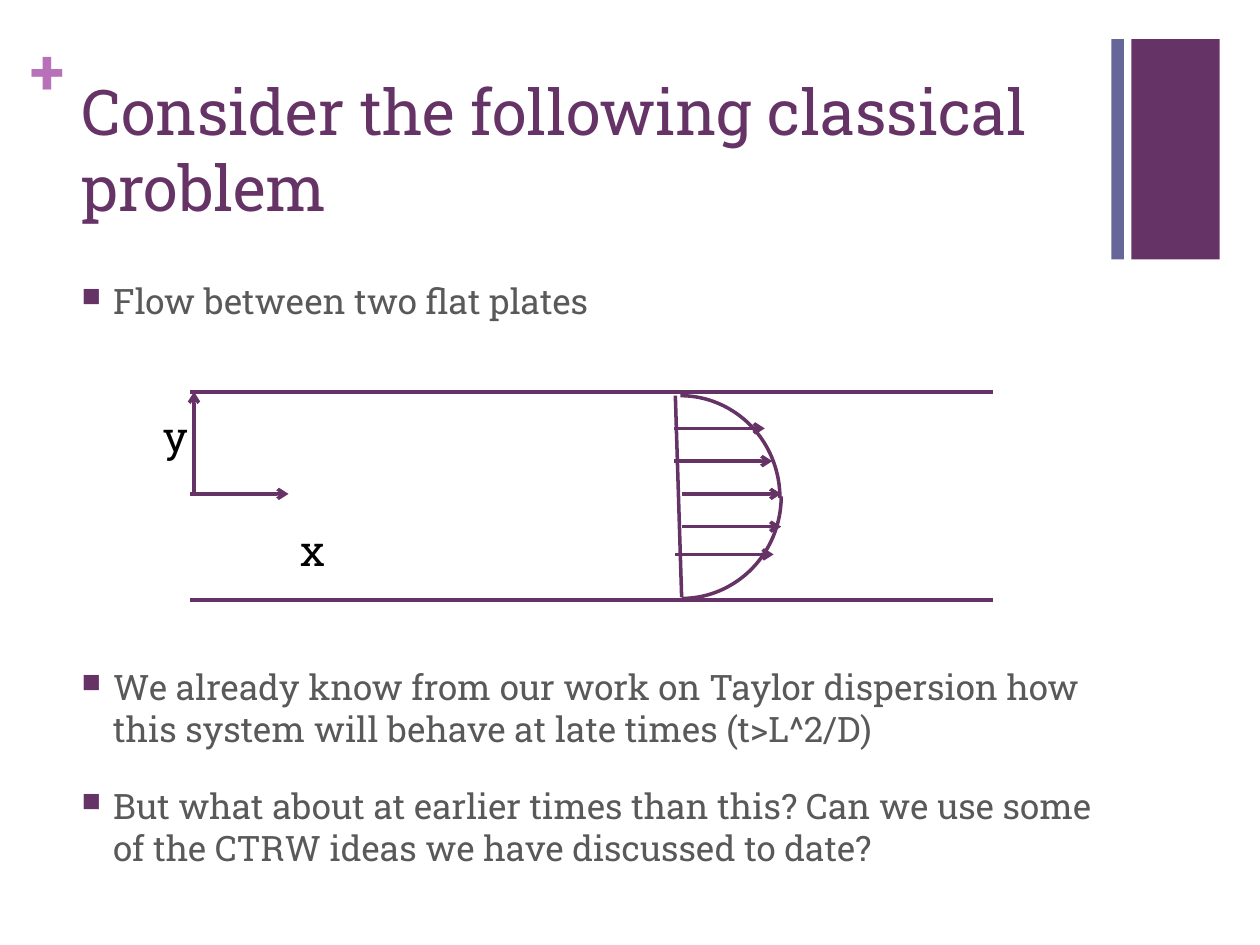
import pptx
import pptx.util
import pptx.dml.color
import pptx.enum.shapes
import pptx.enum.text
import pptx.oxml
import pptx.oxml.ns
from lxml import etree

Inches = pptx.util.Inches
Pt = pptx.util.Pt
RGB = pptx.dml.color.RGBColor
Kind = pptx.enum.shapes.MSO_SHAPE

PLUM = RGB(0x66, 0x33, 0x66)
SLATE = RGB(0x66, 0x66, 0x99)
MAUVE = RGB(0xB8, 0x70, 0xB8)
GREY = RGB(0x59, 0x59, 0x59)
BLACK = RGB(0, 0, 0)
FONT = "Roboto Slab"


def add_node(parent, tag, **attrs):
    return etree.SubElement(parent, pptx.oxml.ns.qn(tag), **attrs)


def add_bar(slide, left, width, color):
    bar = slide.shapes.add_shape(
        Kind.RECTANGLE, Inches(left), Inches(0.31), Inches(width), Inches(1.75))
    bar.shadow.inherit = False
    bar.fill.solid()
    bar.fill.fore_color.rgb = color
    bar.line.fill.background()


def add_bullet(para):
    props = para._p.get_or_add_pPr()
    props.set("marL", str(Inches(0.25)))
    props.set("indent", str(-Inches(0.25)))
    color = add_node(props, "a:buClr")
    add_node(color, "a:srgbClr", val=str(PLUM))
    add_node(props, "a:buSzPct", val="75000")
    add_node(props, "a:buChar", char="■")


def add_text(slide, box, lines, size, color, bold=False, wrap=True,
             bullet=False, inset=True):
    shape = slide.shapes.add_textbox(*map(Inches, box))
    frame = shape.text_frame
    frame.word_wrap = wrap
    frame.vertical_anchor = pptx.enum.text.MSO_ANCHOR.TOP
    if not inset:
        frame.margin_left = frame.margin_right = 0
        frame.margin_top = frame.margin_bottom = 0
    for i, line in enumerate(lines):
        para = frame.paragraphs[0] if i == 0 else frame.add_paragraph()
        para.text = line
        if i:
            para.space_before = Pt(20)
        if bullet:
            add_bullet(para)
        para.font.name = FONT
        para.font.size = Pt(size)
        para.font.bold = bold
        para.font.color.rgb = color


def set_line(shape):
    shape.line.color.rgb = PLUM
    shape.line.width = Pt(2)


def add_line(slide, start, end, arrow=False):
    line = slide.shapes.add_connector(
        pptx.enum.shapes.MSO_CONNECTOR.STRAIGHT, *map(Inches, start + end))
    set_line(line)
    if arrow:
        add_node(line.line._get_or_add_ln(), "a:tailEnd", type="arrow")
    add_node(line._element.spPr, "a:effectLst")


def add_arc(slide, left, top, flip=False):
    arc = slide.shapes.add_shape(
        Kind.ARC, Inches(left), Inches(top), Inches(1.58), Inches(1.62))
    arc.shadow.inherit = False
    arc.fill.background()
    set_line(arc)
    if flip:
        arc._element.spPr.xfrm.set("flipV", "1")


def draw_flow(slide):
    # Plates
    for y in (3.11, 4.76):
        add_line(slide, (1.51, y), (7.88, y))

    # Velocity profile
    add_arc(slide, 4.61, 3.14)
    add_arc(slide, 4.62, 3.13, flip=True)
    add_line(slide, (5.36, 3.14), (5.41, 4.74))
    for left, right, y in ((5.35, 6.07, 3.4), (5.35, 6.13, 3.66),
                           (5.41, 6.2, 3.92), (5.41, 6.2, 4.18),
                           (5.36, 6.14, 4.4)):
        add_line(slide, (left, y), (right, y), arrow=True)

    # Axes
    add_line(slide, (1.51, 3.92), (2.29, 3.92), arrow=True)
    add_line(slide, (1.54, 3.91), (1.54, 3.11), arrow=True)
    add_text(slide, (1.2, 3.21, 0.4, 0.5), ["y"], 24, BLACK, wrap=False)
    add_text(slide, (2.29, 4.11, 0.39, 0.5), ["x"], 24, BLACK, wrap=False)


def main():
    deck = pptx.Presentation()
    deck.slide_width, deck.slide_height = Inches(10), Inches(7.5)
    slide = deck.slides.add_slide(deck.slide_layouts[6])

    # Corner decoration
    add_bar(slide, 8.98, 0.7, PLUM)
    add_bar(slide, 8.82, 0.1, SLATE)
    add_text(slide, (0.24, 0.25, 0.29, 0.61), ["+"], 36, MAUVE,
             bold=True, inset=False)

    # Title and bullets above and below the diagram
    add_text(slide, (0.55, 0.53, 8.26, 1.22),
             ["Consider the following classical problem"], 36, PLUM)
    add_text(slide, (0.55, 2.17, 8.26, 0.5),
             ["Flow between two flat plates"], 20, GREY, bullet=True)
    add_text(slide, (0.55, 5.23, 8.26, 1.47), [
        "We already know from our work on Taylor dispersion how this system "
        "will behave at late times (t>L^2/D)",
        "But what about at earlier times than this? Can we use some of the "
        "CTRW ideas we have discussed to date?",
    ], 20, GREY, bullet=True)

    draw_flow(slide)
    deck.save("out.pptx")


if __name__ == "__main__":
    main()
